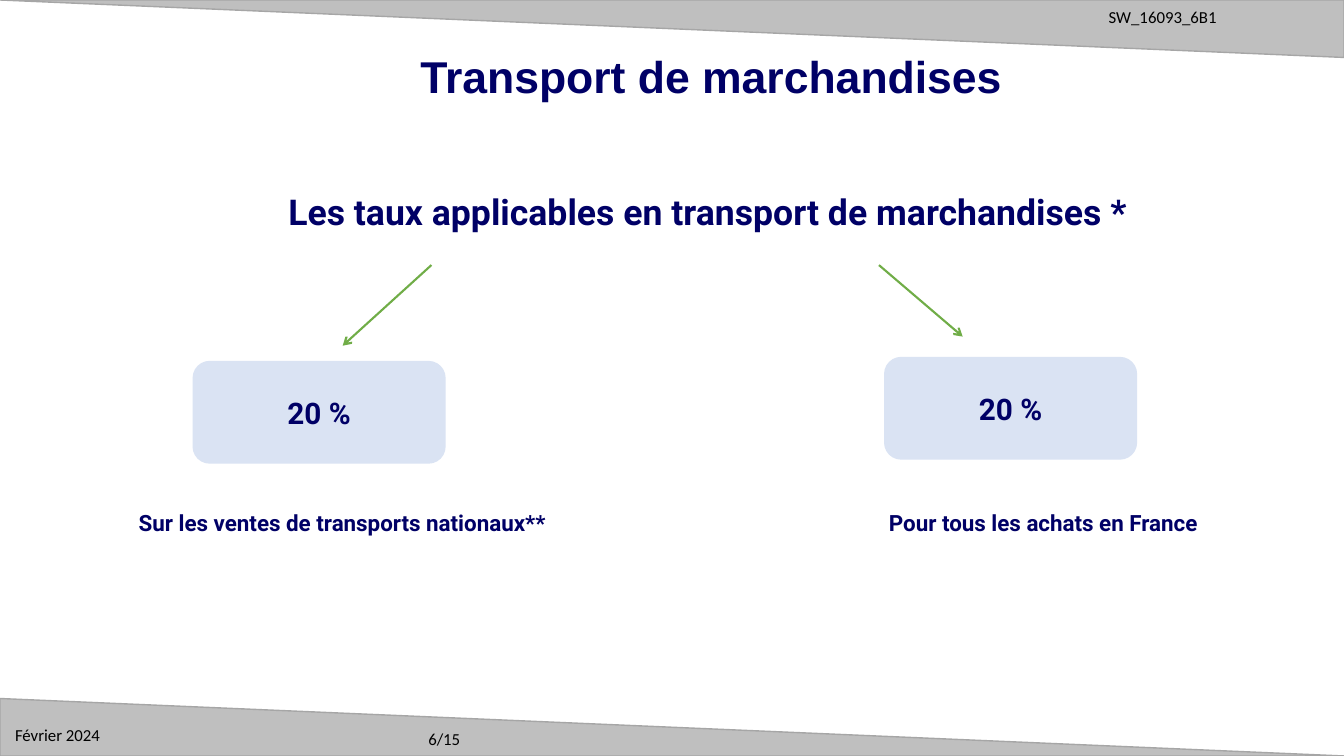
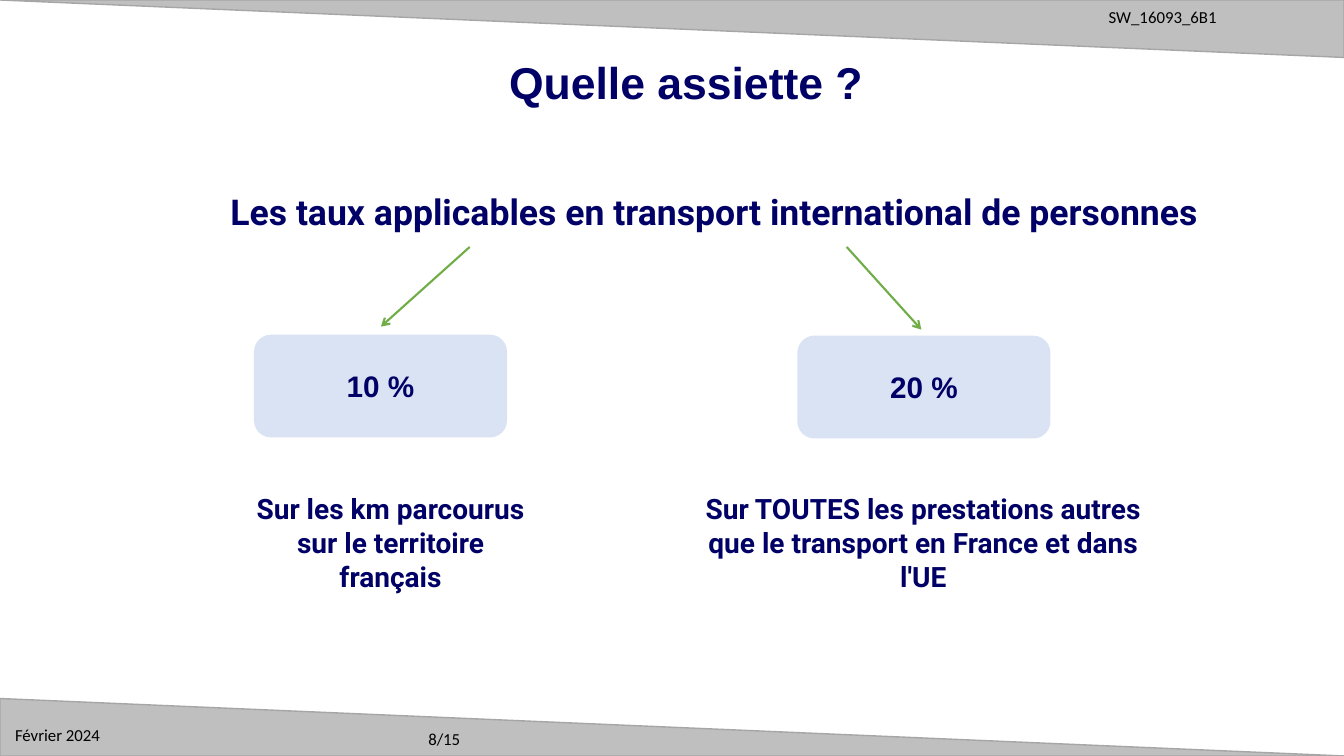
from dataclasses import dataclass

from lxml import etree
from pptx import Presentation
from pptx.dml.color import RGBColor
from pptx.enum.shapes import MSO_CONNECTOR, MSO_SHAPE
from pptx.enum.text import MSO_ANCHOR, PP_ALIGN
from pptx.oxml.ns import qn
from pptx.shapes.autoshape import Shape
from pptx.slide import Slide
from pptx.util import Inches, Pt

SLIDE_WIDTH, SLIDE_HEIGHT = Inches(13.33), Inches(7.5)

BLACK = RGBColor(0x00, 0x00, 0x00)
NAVY = RGBColor(0x00, 0x00, 0x66)
PALE_BLUE = RGBColor(0xDA, 0xE3, 0xF3)
GREEN = RGBColor(0x70, 0xAD, 0x47)
BAND_GREY = RGBColor(0xBF, 0xBF, 0xBF)
BAND_EDGE = RGBColor(0xA6, 0xA6, 0xA6)

FOOTER_FONT = {"name": "Calibri", "size": Pt(12)}
TITLE_FONT = {"name": "Arial", "size": Pt(31.8), "bold": True}
HEADING_FONT = {"name": "Roboto", "size": Pt(25.4), "bold": True}
RATE_FONT = {"size": Pt(21.2), "bold": True}
CAPTION_FONT = {"name": "Roboto", "bold": True}

BAND_HEIGHT = 7.6
FOOTER_SIZE = (10.35, 4)
TITLE_SIZE = (31.13, 8.93)
HEADING_TOP, HEADING_HEIGHT = 24.53, 7.07
RATE_SIZE = (18.83, 13.6)
PAGE_COUNT = 15


@dataclass(frozen=True)
class Area:
    """Left, top, width and height in percent of the slide."""
    left: float
    top: float
    width: float
    height: float

    def emu(self) -> tuple[int, int, int, int]:
        return (*point(self.left, self.top), *point(self.width, self.height))


@dataclass(frozen=True)
class Branch:
    """An arrow leading to a rate, with its caption below."""
    arrow_start: tuple[float, float]
    arrow_end: tuple[float, float]
    rate: str
    rate_corner: tuple[float, float]
    caption: str
    caption_area: Area


@dataclass(frozen=True)
class RatePage:
    number: int
    title: str
    title_corner: tuple[float, float]
    heading: str
    heading_left: float
    heading_width: float
    rate_font: str
    caption_size: int
    branches: tuple[Branch, ...]


def point(x: float, y: float) -> tuple[int, int]:
    return round(SLIDE_WIDTH * x / 100), round(SLIDE_HEIGHT * y / 100)


def write(box: Shape, text: str, font: dict, color: RGBColor,
          align: PP_ALIGN) -> None:
    paragraph = box.text_frame.paragraphs[0]
    paragraph.alignment = align
    run = paragraph.add_run()
    run.text = text
    for attribute, value in font.items():
        setattr(run.font, attribute, value)
    run.font.color.rgb = color


def add_label(slide: Slide, area: Area, text: str, font: dict,
              color: RGBColor = NAVY,
              align: PP_ALIGN = PP_ALIGN.CENTER) -> None:
    label = slide.shapes.add_textbox(*area.emu())
    label.text_frame.word_wrap = True
    write(label, text, font, color, align)


def add_rounded_box(slide: Slide, area: Area, text: str, font: dict,
                    fill: RGBColor | None = None) -> None:
    box = slide.shapes.add_shape(MSO_SHAPE.ROUNDED_RECTANGLE, *area.emu())
    box.shadow.inherit = False
    box.line.fill.background()
    if fill is None:
        box.fill.background()
    else:
        box.fill.solid()
        box.fill.fore_color.rgb = fill
    frame = {"word_wrap": False, "vertical_anchor": MSO_ANCHOR.MIDDLE,
             "margin_left": Inches(0.11), "margin_right": Inches(0.11)}
    for attribute, value in frame.items():
        setattr(box.text_frame, attribute, value)
    write(box, text, font, NAVY, PP_ALIGN.CENTER)


def add_arrow(slide: Slide, start: tuple[float, float],
              end: tuple[float, float]) -> None:
    arrow = slide.shapes.add_connector(
        MSO_CONNECTOR.STRAIGHT, *point(*start), *point(*end))
    arrow.line.color.rgb = GREEN
    arrow.line.width = Pt(1.5)
    etree.SubElement(arrow.line._get_or_add_ln(), qn("a:tailEnd"), type="arrow")
    etree.SubElement(arrow._element.spPr, qn("a:effectLst"))


def add_frame(slide: Slide, page_number: int) -> None:
    """Draw the slanted bands and the texts that every slide carries."""
    for top, rotation in ((0, 180), (100 - BAND_HEIGHT, 0)):
        area = Area(0, top, 100, BAND_HEIGHT)
        band = slide.shapes.add_shape(MSO_SHAPE.ISOSCELES_TRIANGLE, *area.emu())
        band.adjustments[0] = 0
        band.rotation = rotation
        band.shadow.inherit = False
        band.fill.solid()
        band.fill.fore_color.rgb = BAND_GREY
        band.line.color.rgb = BAND_EDGE
        band.line.width = Pt(1)
    for area, text in (
        (Area(31.13, 95.73, *FOOTER_SIZE), f"{page_number}/{PAGE_COUNT}"),
        (Area(81.75, 0.27, 17.93, 4), "SW_16093_6B1"),
        (Area(0.38, 95.2, *FOOTER_SIZE), "Février 2024"),
    ):
        add_label(slide, area, text, FOOTER_FONT, BLACK, PP_ALIGN.LEFT)


def add_rate_page(slide: Slide, page: RatePage) -> None:
    add_frame(slide, page.number)
    add_rounded_box(slide, Area(*page.title_corner, *TITLE_SIZE),
                    page.title, TITLE_FONT)
    heading_area = Area(page.heading_left, HEADING_TOP,
                        page.heading_width, HEADING_HEIGHT)
    add_label(slide, heading_area, page.heading, HEADING_FONT)
    rate_font = RATE_FONT | {"name": page.rate_font}
    caption_font = CAPTION_FONT | {"size": Pt(page.caption_size)}
    for branch in page.branches:
        add_arrow(slide, branch.arrow_start, branch.arrow_end)
        add_rounded_box(slide, Area(*branch.rate_corner, *RATE_SIZE),
                        branch.rate, rate_font, PALE_BLUE)
        add_label(slide, branch.caption_area, branch.caption, caption_font)


PAGES = (
    RatePage(
        6, "Transport de marchandises", (37.35, 5.6),
        "Les taux applicables en transport de marchandises *", 16.35, 72.68,
        "Roboto", 16,
        (
            Branch((32.1, 35.07), (25.5, 45.73), "20 %", (14.33, 47.73),
                   "Sur les ventes de transports nationaux**",
                   Area(4.95, 66.67, 41.03, 4.93)),
            Branch((65.4, 35.07), (71.63, 44.53), "20 %", (65.78, 47.2),
                   "Pour tous les achats en France",
                   Area(62.7, 66.67, 29.85, 4.93)),
        ),
    ),
    RatePage(
        8, "Quelle assiette ?", (35.48, 6.4),
        "Les taux applicables en transport international de personnes ",
        10.8, 85.43, "Arial", 20,
        (
            Branch((34.95, 32.67), (28.35, 43.2), "10 %", (18.9, 44.27),
                   "Sur les km parcourus sur le territoire français",
                   Area(17.55, 64.4, 23.03, 14.8)),
            Branch((63, 32.67), (68.55, 43.6), "20 %", (59.33, 44.4),
                   "Sur TOUTES les prestations autres que le transport "
                   "en France et dans l'UE",
                   Area(51, 64.4, 35.4, 14.8)),
        ),
    ),
)


def main() -> None:
    deck = Presentation()
    deck.slide_width, deck.slide_height = SLIDE_WIDTH, SLIDE_HEIGHT
    blank = deck.slide_layouts[6]
    for page in PAGES:
        add_rate_page(deck.slides.add_slide(blank), page)
    deck.save("out.pptx")


if __name__ == "__main__":
    main()
